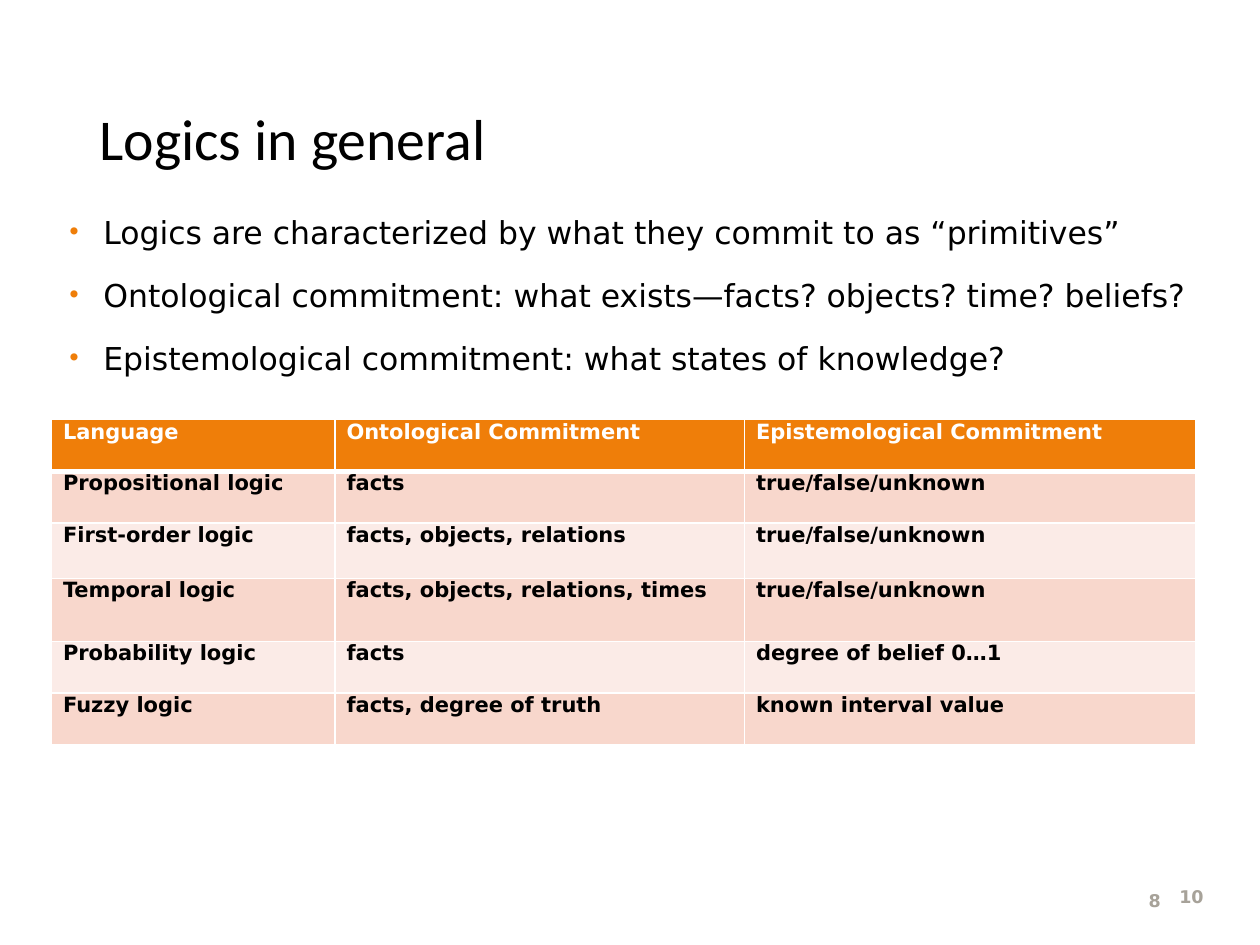
"""Build the "Logics in general" slide with a bullet list and a comparison table."""
from dataclasses import dataclass

from lxml.etree import SubElement
from pptx import Presentation
from pptx.dml.color import RGBColor as Rgb
from pptx.enum.text import MSO_ANCHOR as Anchor, MSO_AUTO_SIZE as AutoSize, PP_ALIGN as Align
from pptx.oxml.ns import qn
from pptx.util import Inches, Pt


@dataclass(frozen=True)
class Theme:
    ink: str = "000000"
    paper: str = "FFFFFF"
    accent: str = "EF7E09"
    muted: str = "A7A299"
    bands: tuple = ("F8D7CC", "FBEBE7")
    title_font: str = "Calibri"
    body_font: str = "DejaVu Sans"
    title_size: float = 33
    body_size: float = 18
    cell_size: float = 12
    number_size: float = 10


THEME = Theme()
NO_INSETS = dict.fromkeys(("margin_left", "margin_top", "margin_right", "margin_bottom"), 0)

TITLE = "Logics in general"
POINTS = [
    "Logics are characterized by what they commit to as “primitives”",
    "Ontological commitment: what exists—facts? objects? time? beliefs?",
    "Epistemological commitment: what states of knowledge?",
]
LOGICS = [
    ("Language", "Ontological Commitment", "Epistemological Commitment"),
    ("Propositional logic", "facts", "true/false/unknown"),
    ("First-order logic", "facts, objects, relations", "true/false/unknown"),
    ("Temporal logic", "facts, objects, relations, times", "true/false/unknown"),
    ("Probability logic", "facts", "degree of belief 0…1"),
    ("Fuzzy logic", "facts, degree of truth", "known interval value"),
]
COLUMN_WIDTHS = (2.25, 3.25, 3.58)
ROW_HEIGHTS = (0.41, 0.41, 0.44, 0.5, 0.41, 0.41)


def apply(target, values):
    for name, value in values.items():
        setattr(target, name, value)


def place(shape, left, top, width, height):
    apply(shape, {"left": Inches(left), "top": Inches(top),
                  "width": Inches(width), "height": Inches(height)})


def write(paragraph, text, size, color, font=THEME.body_font, bold=False):
    run = paragraph.add_run()
    run.text = text
    apply(run.font, {"name": font, "size": Pt(size), "bold": bold})
    run.font.color.rgb = Rgb.from_string(color)


def indent(paragraph, left, first=0):
    properties = paragraph._p.get_or_add_pPr()
    properties.set("marL", str(Inches(left)))
    properties.set("indent", str(Inches(first)))
    return properties


def add_bullet(paragraph):
    properties = indent(paragraph, 0.3, -0.29)
    color = SubElement(properties, qn("a:buClr"))
    SubElement(color, qn("a:srgbClr"), val=THEME.accent)
    SubElement(properties, qn("a:buSzPct"), val="78000")
    SubElement(properties, qn("a:buFont"), typeface=THEME.body_font)
    SubElement(properties, qn("a:buChar"), char="•")


def fill_title(title):
    place(title, 0.69, 0.4, 8.62, 1.45)
    apply(title.text_frame, {"vertical_anchor": Anchor.MIDDLE, "auto_size": AutoSize.NONE})
    heading = title.text_frame.paragraphs[0]
    apply(heading, {"alignment": Align.LEFT, "line_spacing": 0.9})
    write(heading, TITLE, THEME.title_size, THEME.ink, THEME.title_font)


def fill_points(body):
    place(body, 0.52, 1.69, 8.95, 1.29)
    frame = body.text_frame
    apply(frame, {**NO_INSETS, "auto_size": AutoSize.NONE, "vertical_anchor": Anchor.TOP})
    for index, text in enumerate(POINTS):
        point = frame.add_paragraph() if index else frame.paragraphs[0]
        point.space_before = Pt(14.5 if index else 0)
        add_bullet(point)
        write(point, text, THEME.body_size, THEME.ink)


def border_cell(cell, top, bottom):
    properties = cell._tc.get_or_add_tcPr()
    for index, (side, points) in enumerate(zip("LRTB", (1, 1, top, bottom))):
        line = SubElement(properties, qn(f"a:ln{side}"), w=str(Pt(points)))
        fill = SubElement(line, qn("a:solidFill"))
        SubElement(fill, qn("a:srgbClr"), val=THEME.paper)
        properties.insert(index, line)


def fill_cell(cell, text, row):
    apply(cell, {**NO_INSETS, "vertical_anchor": Anchor.TOP})
    cell.fill.solid()
    cell.fill.fore_color.rgb = Rgb.from_string(
        THEME.bands[(row - 1) % 2] if row else THEME.accent)
    border_cell(cell, top=3 if row == 1 else 1, bottom=1 if row else 3)
    entry = cell.text_frame.paragraphs[0]
    indent(entry, 0.09)
    write(entry, text, THEME.cell_size, THEME.ink if row else THEME.paper, bold=True)


def add_logics_table(slide):
    table = slide.shapes.add_table(
        len(LOGICS), len(COLUMN_WIDTHS), Inches(0.41), Inches(3.33),
        Inches(sum(COLUMN_WIDTHS)), Inches(sum(ROW_HEIGHTS))).table
    table.horz_banding = False
    for column, width in zip(table.columns, COLUMN_WIDTHS):
        column.width = Inches(width)
    for row, (entries, height) in enumerate(zip(LOGICS, ROW_HEIGHTS)):
        table.rows[row].height = Inches(height)
        for column, text in enumerate(entries):
            fill_cell(table.cell(row, column), text, row)


def add_page_number(slide, text, box, left_indent, alignment, frame_format):
    frame = slide.shapes.add_textbox(*map(Inches, box)).text_frame
    apply(frame, {"word_wrap": True, **frame_format})
    number = frame.paragraphs[0]
    number.alignment = alignment
    indent(number, left_indent)
    write(number, text, THEME.number_size, THEME.muted, bold=True)


def main():
    deck = Presentation()
    apply(deck, {"slide_width": Inches(10), "slide_height": Inches(7.5)})
    slide = deck.slides.add_slide(deck.slide_layouts[1])
    fill_title(slide.shapes.title)
    add_page_number(slide, "10", (9.35, 7.03, 0.23, 0.18), 0.01, Align.LEFT, NO_INSETS)
    fill_points(slide.placeholders[1])
    add_logics_table(slide)
    add_page_number(slide, "8", (7.06, 6.95, 2.25, 0.4), 0.13, Align.RIGHT,
                    {"vertical_anchor": Anchor.MIDDLE})
    deck.save("out.pptx")


if __name__ == "__main__":
    main()
